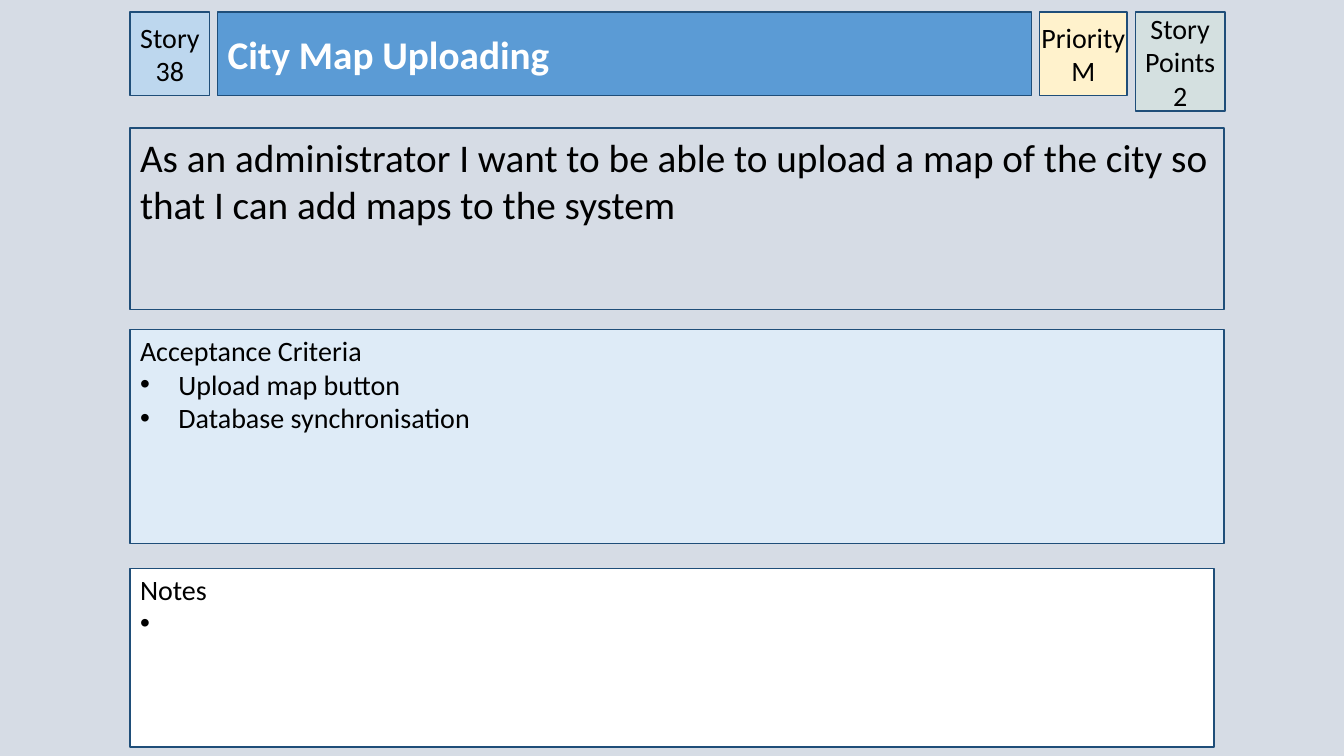
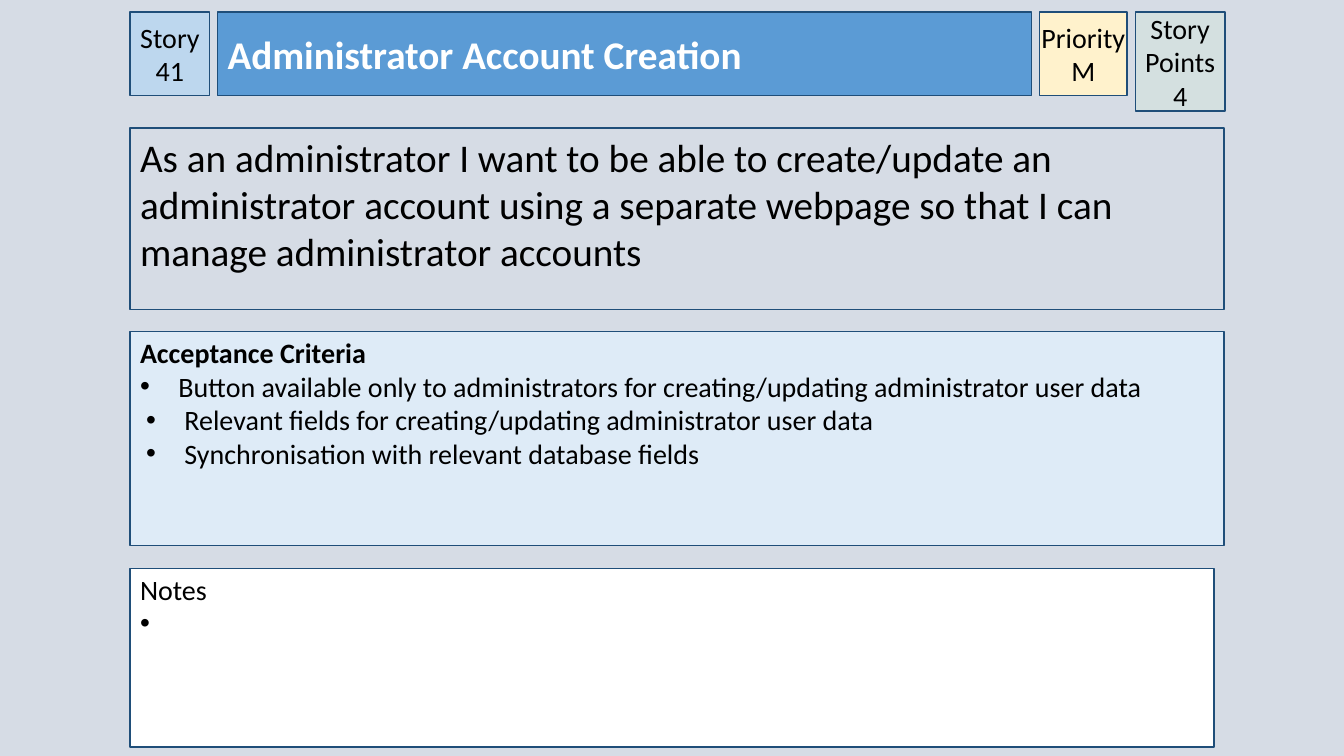
from dataclasses import dataclass

from lxml import etree
from pptx import Presentation
from pptx.dml.color import RGBColor
from pptx.enum import shapes, text
from pptx.oxml import ns
from pptx.util import Inches, Pt

FONT = "Calibri"
BODY_SIZE, LARGE_SIZE = 20, 28
BLACK = RGBColor(0x00, 0x00, 0x00)
WHITE = RGBColor(0xFF, 0xFF, 0xFF)
NAVY = RGBColor(0x1F, 0x4E, 0x79)
BLUE = RGBColor(0x5B, 0x9B, 0xD5)
SKY = RGBColor(0xBD, 0xD7, 0xEE)
PALE_BLUE = RGBColor(0xDE, 0xEB, 0xF7)
GREY = RGBColor(0xD6, 0xDC, 0xE5)
CREAM = RGBColor(0xFF, 0xF2, 0xCC)
MINT = RGBColor(0xCC, 0xF0, 0xCD)

CARD_LEFT, CARD_WIDTH = 1.29, 10.85
HEADER_TOP, HEADER_HEIGHT = 0.12, 0.83
GAP = 0.08
NUMBER_WIDTH, TITLE_WIDTH, PRIORITY_WIDTH, POINTS_WIDTH = 0.79, 8.07, 0.87, 0.89
POINTS_HEIGHT = 0.98
PANEL_INSETS = (0.1, 0.04, 0.1, 0.05)
BADGE_INSETS = (0, 0.05, 0, 0.05)
BULLET_INDENT, NOTE_INDENT = 0.38, 0.2


@dataclass
class Story:
    number: int
    title: str
    priority: str
    points: int
    wish: str
    criteria: list
    criteria_top: float
    bold_heading: bool = False


STORIES = [
    Story(38, "City Map Uploading", "M", 2,
          "As an administrator I want to be able to upload a map of the city "
          "so that I can add maps to the system",
          [("Upload map button", BULLET_INDENT),
           ("Database synchronisation", BULLET_INDENT)],
          3.27),
    Story(41, "Administrator Account Creation", "M", 4,
          "As an administrator I want to be able to create/update an administrator "
          "account using a separate webpage so that I can manage administrator accounts",
          [("Button available only to administrators for creating/updating "
            "administrator user data", BULLET_INDENT),
           ("Relevant fields for creating/updating administrator user data", 0.44),
           ("Synchronisation with relevant database fields", 0.44)],
          3.29, bold_heading=True),
]


def add_panel(slide, box, fill, insets=PANEL_INSETS, anchor=text.MSO_ANCHOR.TOP, wrap=True):
    panel = slide.shapes.add_shape(shapes.MSO_SHAPE.RECTANGLE, *map(Inches, box))
    panel.shadow.inherit = False
    panel.fill.solid()
    panel.fill.fore_color.rgb = fill
    panel.line.color.rgb = NAVY
    panel.line.width = Pt(1)
    frame = panel.text_frame
    frame.word_wrap = wrap
    frame.vertical_anchor = anchor
    (frame.margin_left, frame.margin_top,
     frame.margin_right, frame.margin_bottom) = map(Inches, insets)
    return panel


def add_bullet(paragraph, indent, hanging):
    properties = paragraph._p.get_or_add_pPr()
    properties.set("marL", str(Inches(indent)))
    properties.set("indent", str(-Inches(hanging)))
    etree.SubElement(properties, ns.qn("a:buFont")).set("typeface", "Arial")
    etree.SubElement(properties, ns.qn("a:buChar")).set("char", "•")


def write(panel, lines, size=BODY_SIZE, color=BLACK, bold=False,
          align=text.PP_ALIGN.LEFT, hanging=0):
    frame = panel.text_frame
    for index, (words, indent) in enumerate(lines):
        paragraph = frame.add_paragraph() if index else frame.paragraphs[0]
        paragraph.text = words
        paragraph.alignment = align
        if indent:
            add_bullet(paragraph, indent, hanging)
        paragraph.font.name = FONT
        paragraph.font.size = Pt(size)
        paragraph.font.color.rgb = color
        paragraph.font.bold = bold and not indent


def add_badge(slide, box, fill, lines, wrap=True):
    badge = add_panel(slide, box, fill, BADGE_INSETS, text.MSO_ANCHOR.MIDDLE, wrap)
    write(badge, [(line, 0) for line in lines], align=text.PP_ALIGN.CENTER)
    return badge


def add_header(slide, left, top, story):
    add_badge(slide, (left, top, NUMBER_WIDTH, HEADER_HEIGHT), SKY,
              [f"Story {story.number}"])
    left += NUMBER_WIDTH + GAP
    title = add_panel(slide, (left, top, TITLE_WIDTH, HEADER_HEIGHT), BLUE,
                      (0.1, 0.05, 0.1, 0.05), text.MSO_ANCHOR.MIDDLE)
    write(title, [(story.title, 0)], LARGE_SIZE, WHITE, bold=True)
    left += TITLE_WIDTH + GAP
    add_badge(slide, (left, top, PRIORITY_WIDTH, HEADER_HEIGHT), CREAM,
              ["Priority", story.priority], wrap=False)
    left += PRIORITY_WIDTH + GAP
    points = add_badge(slide, (left, top, POINTS_WIDTH, POINTS_HEIGHT), MINT,
                       ["Story Points", str(story.points)])
    tint = points.fill._xPr.find(ns.qn("a:solidFill"))[0]
    etree.SubElement(tint, ns.qn("a:alpha")).set("val", "20000")


def add_wish(slide, box, wish):
    panel = add_panel(slide, box, GREY, (0.1, 0.05, 0.1, 0.05))
    write(panel, [(wish, 0)], LARGE_SIZE)


def add_list(slide, box, fill, heading, items, hanging, bold=False):
    panel = add_panel(slide, box, fill)
    write(panel, [(heading, 0), *items], bold=bold, hanging=hanging)


def add_story_card(deck, story):
    slide = deck.slides.add_slide(deck.slide_layouts[6])
    slide.background.fill.solid()
    slide.background.fill.fore_color.rgb = GREY
    add_header(slide, CARD_LEFT, HEADER_TOP, story)
    add_wish(slide, (CARD_LEFT, 1.27, CARD_WIDTH, 1.8), story.wish)
    add_list(slide, (CARD_LEFT, story.criteria_top, CARD_WIDTH, 2.12), PALE_BLUE,
             "Acceptance Criteria", story.criteria, BULLET_INDENT, story.bold_heading)
    add_list(slide, (CARD_LEFT, 5.64, CARD_WIDTH - 0.1, 1.77), WHITE,
             "Notes", [(" ", NOTE_INDENT)], NOTE_INDENT)


def main():
    deck = Presentation()
    deck.slide_width, deck.slide_height = Inches(13.33), Inches(7.5)
    for story in STORIES:
        add_story_card(deck, story)
    deck.save("out.pptx")


if __name__ == "__main__":
    main()
